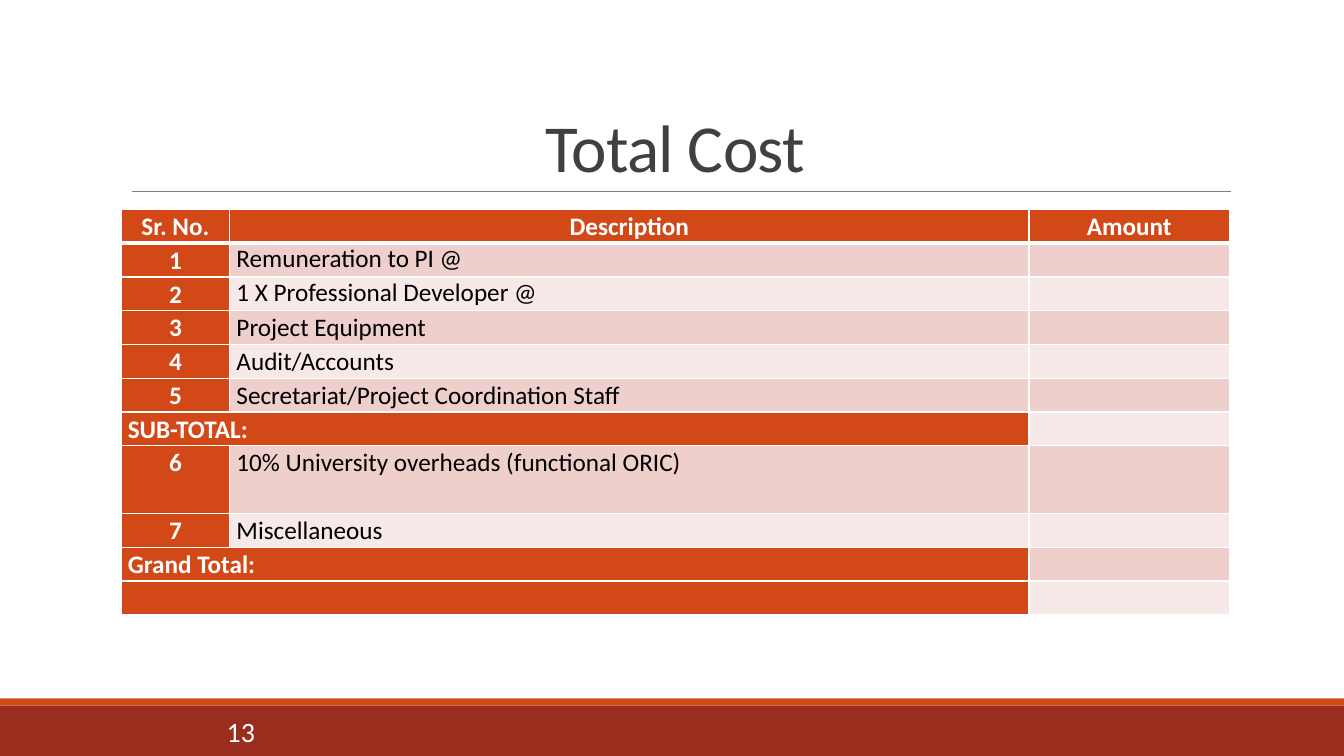
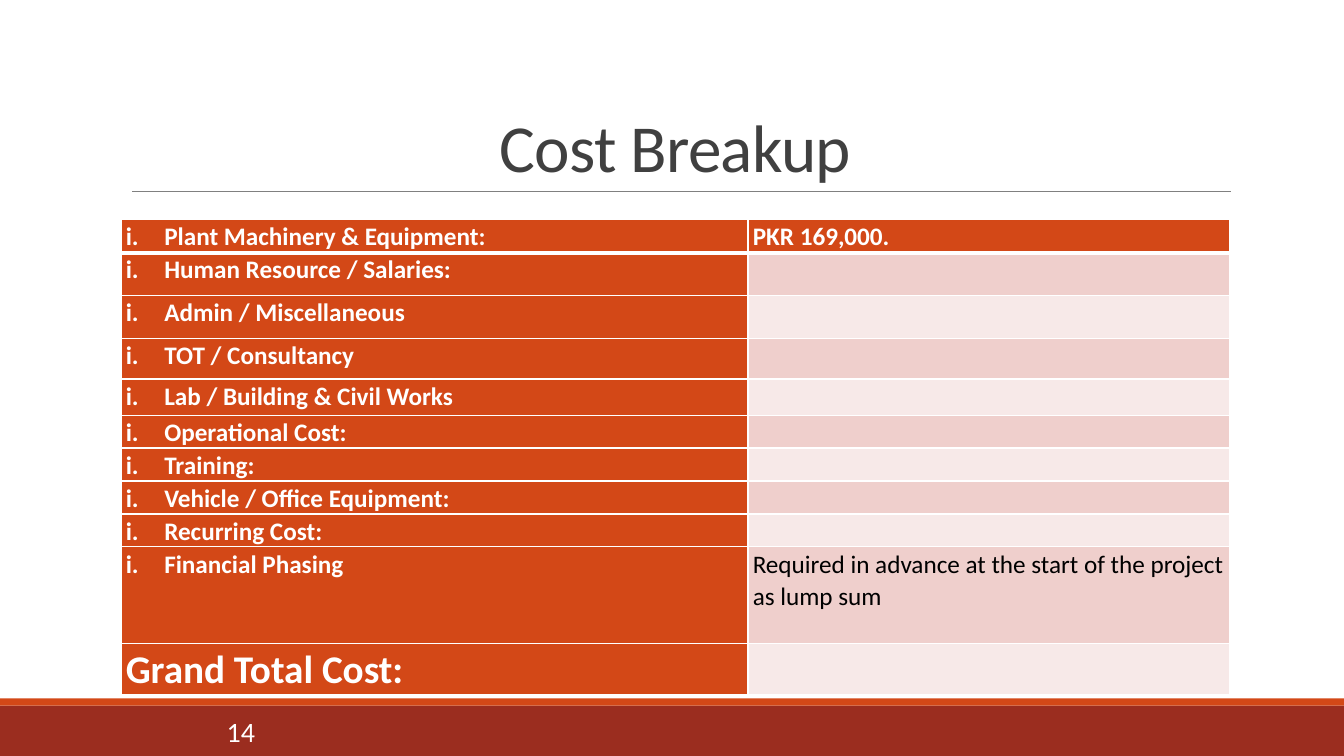
from lxml.etree import SubElement as Sub
from pptx import Presentation
from pptx.dml.color import RGBColor
from pptx.enum.shapes import MSO_CONNECTOR as Link, MSO_SHAPE as Shape
from pptx.enum.text import MSO_ANCHOR as Anchor, PP_ALIGN as Align
from pptx.oxml.ns import qn
from pptx.util import Cm, Pt

WIDE, HIGH = 33.87, 19.05
LEFT, SPAN = 3.05, 27.94
WHITE, BLACK, GREY, DARK = "FFFFFF", "000000", "808080", "404040"
RUST, BRICK = "D34817", "9B2D1F"
BANDS = "F7E9E8", "EFCFCC"
LEAD = 1.07


def tint(code):
    return RGBColor.from_string(code)


def put(frame, text, size=18, color=BLACK, bold=False, align=Align.LEFT,
        lead=1.0, track=None, roman=False):
    """Write one formatted paragraph into a text frame."""
    frame.word_wrap = True
    para = frame.paragraphs[0]
    para.alignment = align
    para.line_spacing = lead
    if roman:
        props = para._p.get_or_add_pPr()
        props.set("marL", str(Cm(0.97)))
        props.set("indent", str(-Cm(0.97)))
        Sub(props, qn("a:buAutoNum"), type="romanLcPeriod")
    run = para.add_run()
    run.text = text
    font = run.font
    font.name, font.size, font.bold = "Calibri", Pt(size), bold
    font.color.rgb = tint(color)
    if track is not None:
        run._r.get_or_add_rPr().set("spc", str(round(track * 100)))


def edge(cell, side, width):
    """Draw one white border of a cell; call before its fill is set."""
    line = Sub(cell._tc.get_or_add_tcPr(), qn("a:ln" + side), w=str(Pt(width)))
    Sub(Sub(line, qn("a:solidFill")), qn("a:srgbClr"), val=WHITE)


class Deck:
    """Holds the shared style and the current slide."""

    def __init__(self):
        self.file = Presentation()
        self.file.slide_width, self.file.slide_height = Cm(WIDE), Cm(HIGH)
        self.slide = None

    def page(self, title, number):
        self.slide = self.file.slides.add_slide(self.file.slide_layouts[6])
        self.band(17.78, 1.27, BRICK)
        self.band(17.6, 0.18, RUST)
        self.rule(3.33, 31.01, 4.83)
        self.label(title, 0.79, SPAN, 4.04, Anchor.BOTTOM, size=48,
                   color=DARK, align=Align.CENTER, lead=0.85, track=-0.5)
        self.label(str(number), 17.93, 3.63, 1.02, Anchor.MIDDLE, size=20,
                   color=WHITE, align=Align.RIGHT)

    def band(self, top, high, color):
        box = self.slide.shapes.add_shape(
            Shape.RECTANGLE, 0, Cm(top), Cm(WIDE), Cm(high))
        box.shadow.inherit = False
        box.fill.solid()
        box.fill.fore_color.rgb = tint(color)
        box.line.fill.background()

    def rule(self, start, end, top):
        line = self.slide.shapes.add_connector(
            Link.STRAIGHT, Cm(start), Cm(top), Cm(end), Cm(top))
        line.line.color.rgb = tint(GREY)
        line.line.width = Pt(0.5)
        Sub(line._element.spPr, qn("a:effectLst"))

    def label(self, text, top, wide, high, anchor, **style):
        box = self.slide.shapes.add_textbox(
            Cm(LEFT), Cm(top), Cm(wide), Cm(high))
        box.text_frame.vertical_anchor = anchor
        put(box.text_frame, text, **style)

    def grid(self, top, cols, highs, rows, pad):
        """Add a table of (text, style) cells; None joins the cell before it."""
        table = self.slide.shapes.add_table(
            len(rows), len(cols), Cm(LEFT), Cm(top),
            Cm(SPAN), Cm(sum(highs))).table
        table.first_row = table.horz_banding = False
        for col, wide in zip(table.columns, cols):
            col.width = Cm(wide)
        for i, (items, high) in enumerate(zip(rows, highs)):
            table.rows[i].height = Cm(high)
            for j, item in enumerate(items):
                cell = table.cell(i, j)
                head = i == 0 or j == 0 or item is None
                self.dress(cell, i, RUST if head else BANDS[i % 2], pad)
                if item is None:
                    table.cell(i, j - 1).merge(cell)
                elif item[0]:
                    look = dict(color=WHITE if head else BLACK, bold=head,
                                lead=LEAD)
                    put(cell.text_frame, item[0], **{**look, **item[1]})

    def dress(self, cell, row, color, pad):
        """Set the margins, borders and fill of a cell."""
        cell.margin_left = cell.margin_right = Cm(pad)
        cell.margin_top = cell.margin_bottom = 0
        for side in "LRTB":
            thick = (row, side) in ((0, "B"), (1, "T"))
            edge(cell, side, 3 if thick else 1)
        cell.fill.solid()
        cell.fill.fore_color.rgb = tint(color)

    def save(self):
        self.file.save("out.pptx")


def mid(text):
    return text, dict(align=Align.CENTER)


def item(number, text, **style):
    return mid(number), (text, style), ("", {})


def total(text):
    return (text, {}), None, ("", {})


def part(text, value=""):
    return (text, dict(roman=True)), (value, {})


def main():
    deck = Deck()

    deck.page("Total Cost", 13)
    rows = [
        [mid(name) for name in ("Sr. No.", "Description", "Amount")],
        item("1", "Remuneration to PI @", lead=1.0),
        item("2", "1 X Professional Developer @", lead=1.0),
        item("3", "Project Equipment"),
        item("4", "Audit/Accounts"),
        item("5", "Secretariat/Project Coordination Staff"),
        total("SUB-TOTAL:"),
        item("6", "10% University overheads (functional ORIC)"),
        item("7", "Miscellaneous"),
        total("Grand Total:"),
        total(""),
    ]
    highs = [0.85] * 7 + [1.71] + [0.85] * 3
    deck.grid(5.28, (2.74, 20.14, 5.06), highs, rows, 0.17)

    deck.page("Cost Breakup", 14)
    rows = [
        part("Plant Machinery & Equipment:", "PKR 169,000."),
        part("Human Resource / Salaries:"),
        part("Admin / Miscellaneous"),
        part("TOT / Consultancy"),
        part("Lab / Building & Civil Works"),
        part("Operational Cost:"),
        part("Training:"),
        part("Vehicle / Office Equipment:"),
        part("Recurring Cost:"),
        part("Financial Phasing", "Required in advance at the start of the "
             "project as lump sum"),
        (("Grand Total Cost:", dict(size=28)), ("", {})),
    ]
    highs = [0.85, 1.08, 1.08, 1.02, 0.91] + [0.83] * 4 + [2.43, 1.3]
    deck.grid(5.52, (15.8, 12.14), highs, rows, 0.12)

    deck.save()


if __name__ == "__main__":
    main()
